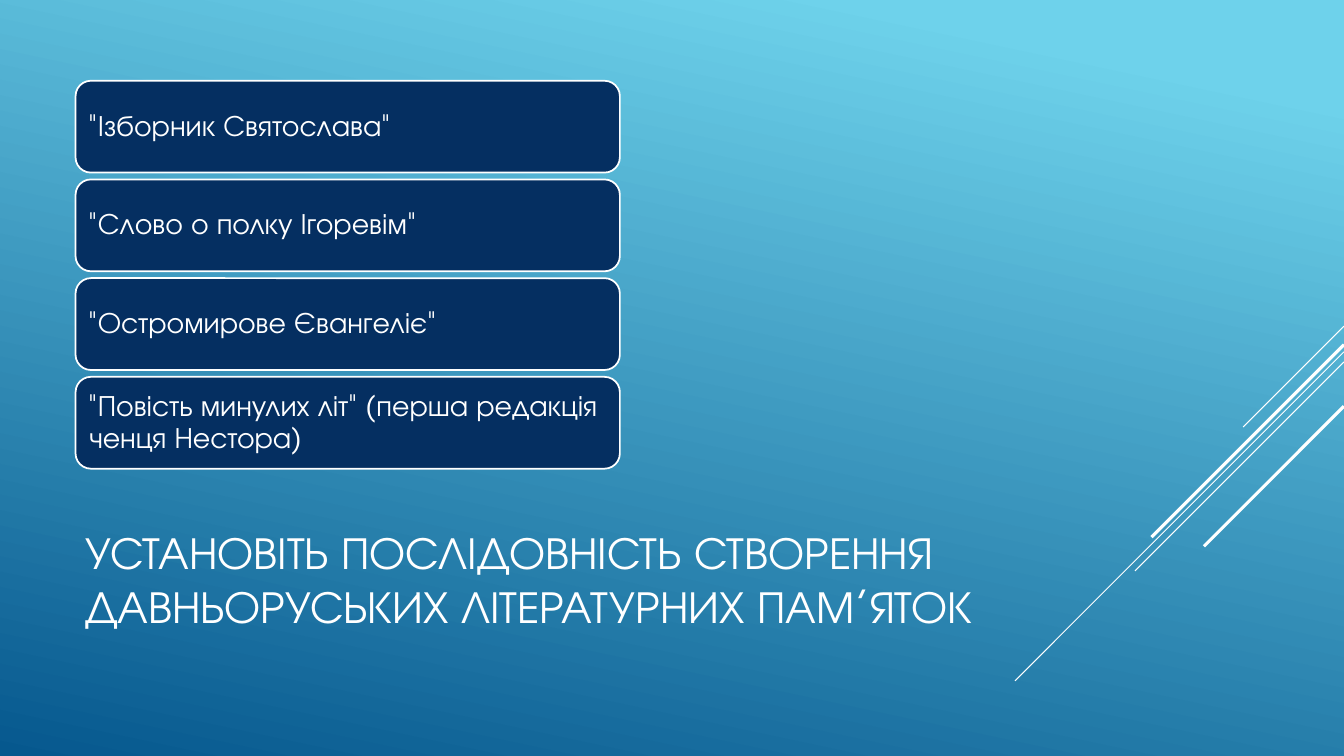
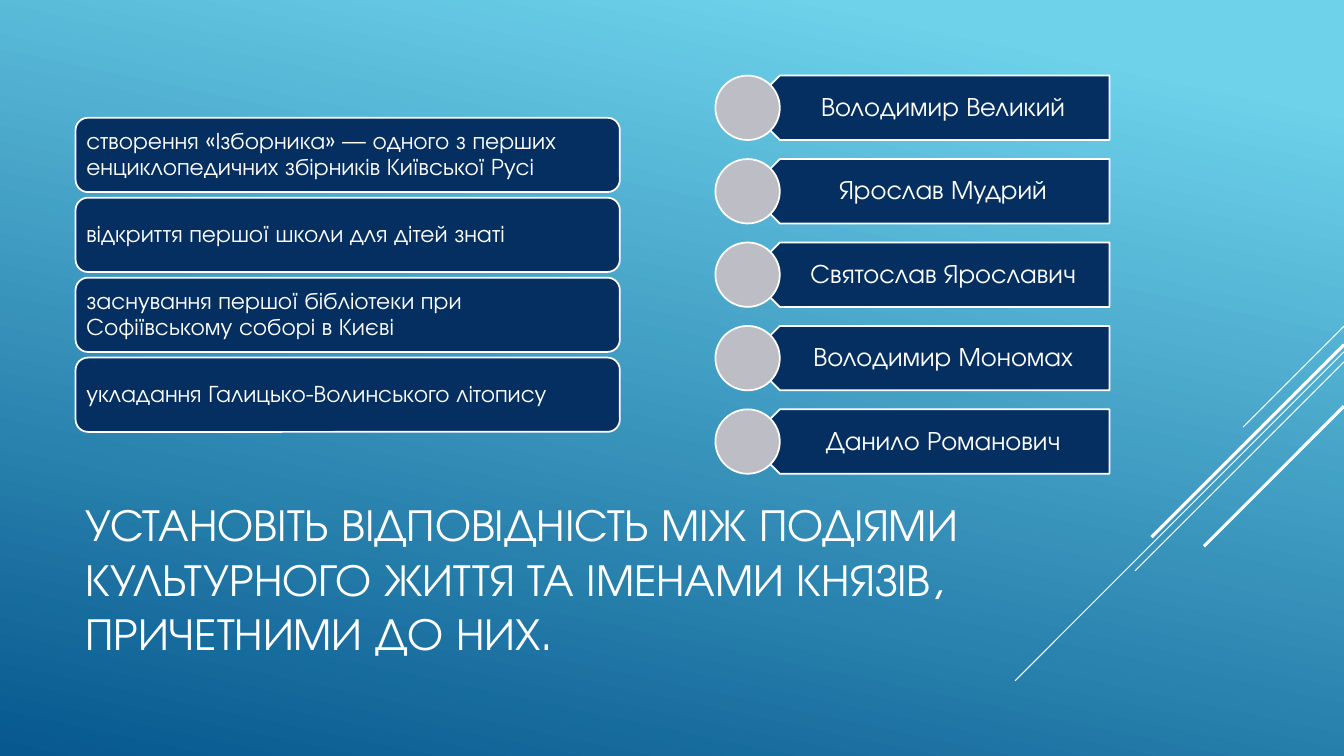
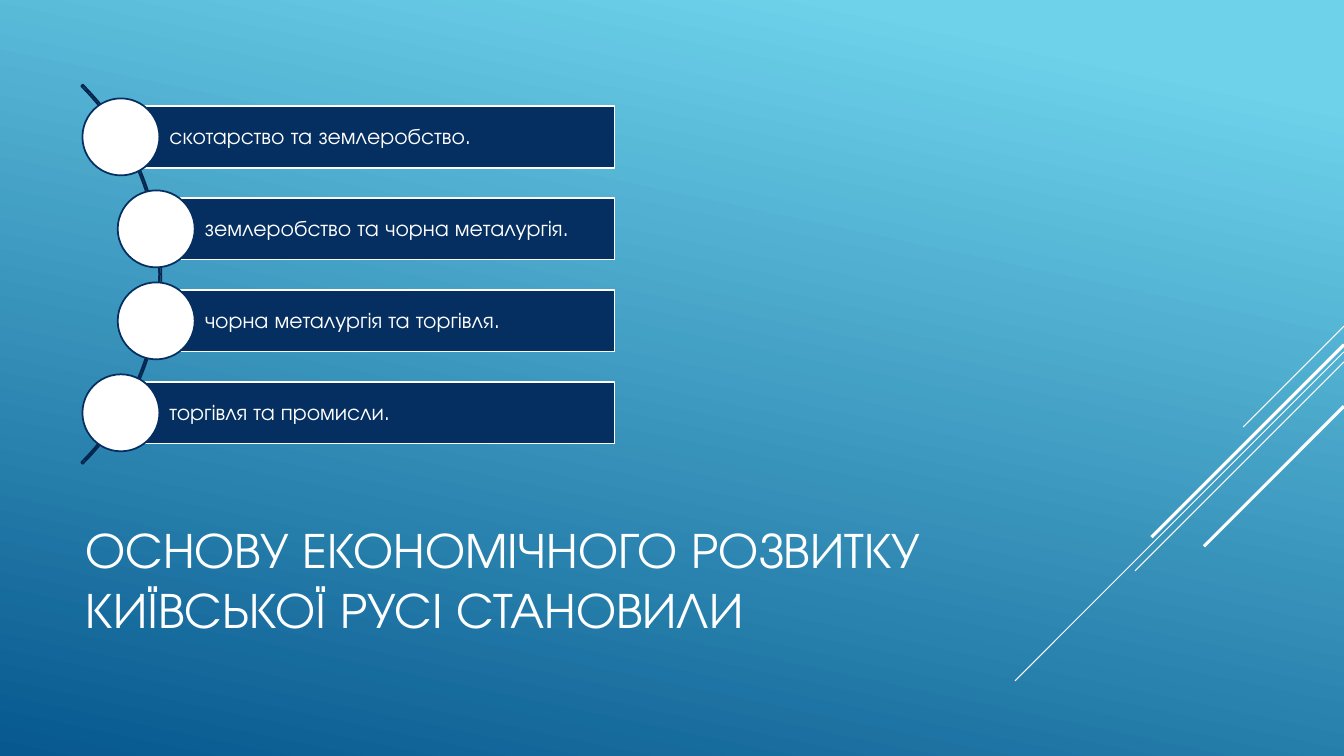
from lxml.etree import SubElement
from pptx import Presentation
from pptx.dml.color import RGBColor
from pptx.enum.shapes import MSO_CONNECTOR as Link, MSO_SHAPE as Form
from pptx.enum.text import MSO_ANCHOR as Anchor, PP_ALIGN as Align
from pptx.oxml.ns import qn
from pptx.util import Pt

WHITE = RGBColor(0xFF, 0xFF, 0xFF)
NAVY = RGBColor(0x05, 0x2F, 0x61)
DARK = RGBColor(0x04, 0x26, 0x4E)
GREY = RGBColor(0xBD, 0xBE, 0xC5)
SKY = RGBColor(0x6E, 0xD2, 0xEB)
DEEP = RGBColor(0x06, 0x58, 0x8E)
FONT = "TeX Gyre Adventor"
WIDE, HIGH = 960, 540

TITLES = [
    ("УСТАНОВІТЬ ПОСЛІДОВНІСТЬ СТВОРЕННЯ ДАВНЬОРУСЬКИХ ЛІТЕРАТУРНИХ ПАМ’ЯТОК", 32.4),
    ("УСТАНОВІТЬ ВІДПОВІДНІСТЬ МІЖ ПОДІЯМИ КУЛЬТУРНОГО ЖИТТЯ ТА ІМЕНАМИ КНЯЗІВ, "
     "ПРИЧЕТНИМИ ДО НИХ.", 32.4),
    ("ОСНОВУ ЕКОНОМІЧНОГО РОЗВИТКУ КИЇВСЬКОЇ РУСІ СТАНОВИЛИ", 36),
]
WORKS = [
    '"Ізборник Святослава"',
    '"Слово о полку Ігоревім"',
    '"Остромирове Євангеліє"',
    '"Повість минулих літ" (перша редакція ченця Нестора)',
]
EVENTS = [
    "створення «Ізборника» — одного з перших енциклопедичних збірників Київської Русі",
    "відкриття першої школи для дітей знаті",
    "заснування першої бібліотеки при Софіївському соборі в Києві",
    "укладання Галицько-Волинського літопису",
]
PRINCES = ["Володимир Великий", "Ярослав Мудрий", "Святослав Ярославич",
           "Володимир Мономах", "Данило Романович"]
TRADES = ["скотарство та землеробство.", "землеробство та чорна металургія.",
          "чорна металургія та торгівля.", "торгівля та промисли."]
# Stripes: start height on the right edge, run to the left and down, line width
STRIPES = [(233, 72, 0.75), (251.3, 235, 0.75), (258.5, 149.3, 0.75),
           (246.2, 137.5, 2.25), (290.2, 100, 2.25)]


def draw(slide, form, left, top, width, height, fill=NAVY, edge=WHITE):
    shape = slide.shapes.add_shape(form, Pt(left), Pt(top), Pt(width), Pt(height))
    shape.shadow.inherit = False
    if fill is None:
        shape.fill.background()
    else:
        shape.fill.solid()
        shape.fill.fore_color.rgb = fill
    shape.line.color.rgb = edge
    shape.line.width = Pt(1.25)
    return shape


def write(shape, text, size, pads, align=Align.LEFT, space=0.9):
    frame = shape.text_frame
    frame.word_wrap = True
    frame.vertical_anchor = Anchor.MIDDLE
    left, top, right, low = pads
    frame.margin_left, frame.margin_top = Pt(left), Pt(top)
    frame.margin_right, frame.margin_bottom = Pt(right), Pt(low)
    para = frame.paragraphs[0]
    para.alignment = align
    para.line_spacing = space
    run = para.add_run()
    run.text = text
    run.font.name = FONT
    run.font.size = Pt(size)
    run.font.color.rgb = WHITE


deck = Presentation()
deck.slide_width, deck.slide_height = Pt(WIDE), Pt(HIGH)

# Shared background
back = deck.slide_master.background.fill
back.gradient()
back.gradient_angle = 258
for stop, color, place in zip(back.gradient_stops, (SKY, DEEP), (0.1, 1)):
    stop.color.rgb = color
    stop.position = place

# Stripes and title on every slide
slides = []
for title, size in TITLES:
    slide = deck.slides.add_slide(deck.slide_layouts[6])
    for top, run, width in STRIPES:
        line = slide.shapes.add_connector(
            Link.STRAIGHT, Pt(WIDE), Pt(top), Pt(WIDE - run), Pt(top + run))
        line.line.color.rgb = WHITE
        line.line.width = Pt(width)
        SubElement(line._element.spPr, qn("a:effectLst"))
    box = slide.shapes.add_textbox(Pt(54), Pt(353.5), Pt(672), Pt(119))
    write(box, title, size, (7.2, 3.6, 7.2, 3.6), space=1)
    slides.append(slide)
first, second, third = slides

# Rounded cards: works on the first slide, events on the second
for slide, texts, top, height, step, size, pad in (
        (first, WORKS, 57.7, 65.6, 70.5, 21, 6.3),
        (second, EVENTS, 84.1, 53.1, 57.1, 17, 5.1)):
    for i, text in enumerate(texts):
        card = draw(slide, Form.ROUNDED_RECTANGLE, 54, top + i * step, 388.8, height)
        write(card, text, size, [pad] * 4)

# Princes: plates pointing left, each with a disc
for i, name in enumerate(PRINCES):
    top = 54 + i * 59.6
    plate = draw(second, Form.PENTAGON, 534, top, 258.5, 46)
    plate.rotation = 180
    box = second.shapes.add_textbox(Pt(545.5), Pt(top), Pt(247), Pt(46))
    write(box, name, 19, (20.2, 5.8, 10.8, 5.8), Align.CENTER)
    draw(second, Form.OVAL, 511, top, 46, 46, GREY)

# Trades: bars with discs along an arc
arc = draw(third, Form.BLOCK_ARC, -267.8, 4.4, 383, 383, None, DARK)
for i, value in enumerate((189, 27, 0.004)):
    arc.adjustments[i] = value
for i, text in enumerate(TRADES):
    left = 111.6 if i in (1, 2) else 86.4
    top = 75.8 + i * 65.7
    bar = draw(third, Form.RECTANGLE, left, top, 439 - left, 44)
    write(bar, text, 16, (34.6, 2.9, 2.9, 2.9))
    draw(third, Form.OVAL, left - 27.5, top - 5.5, 55, 55, WHITE, NAVY)

deck.save("out.pptx")
